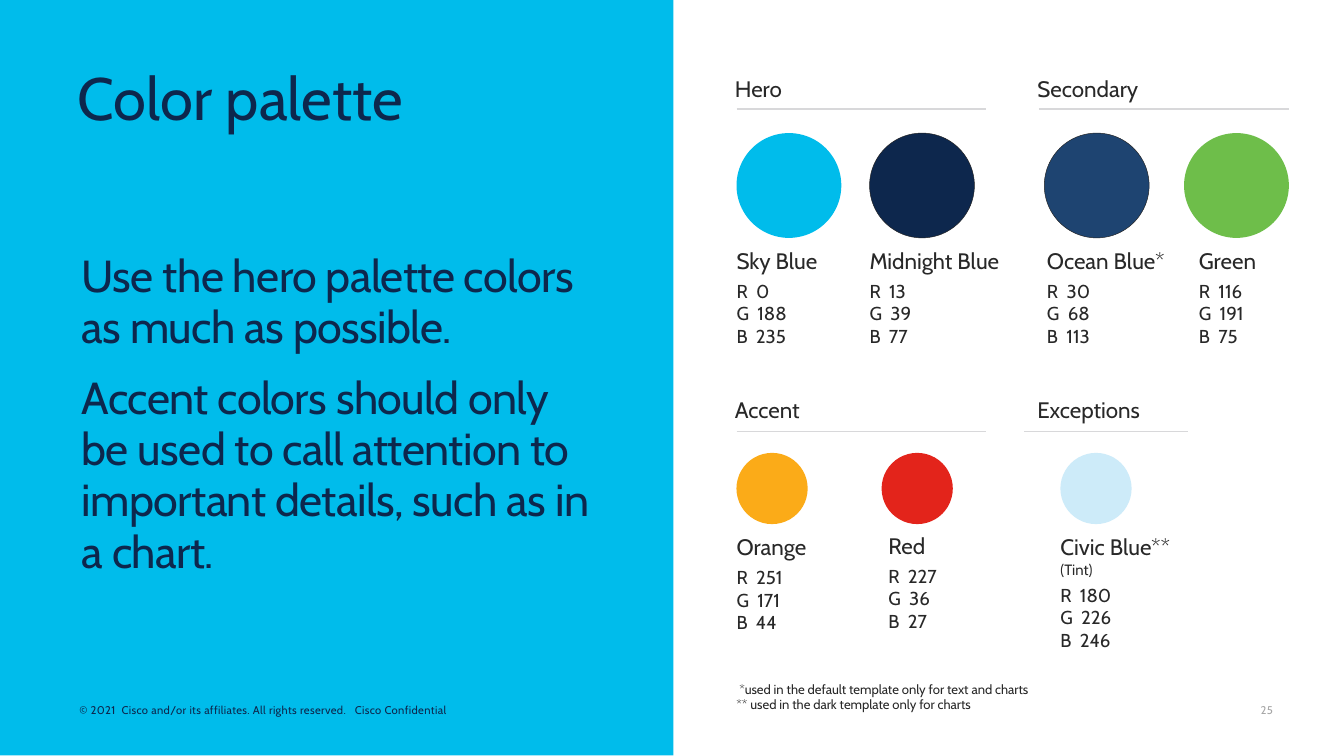
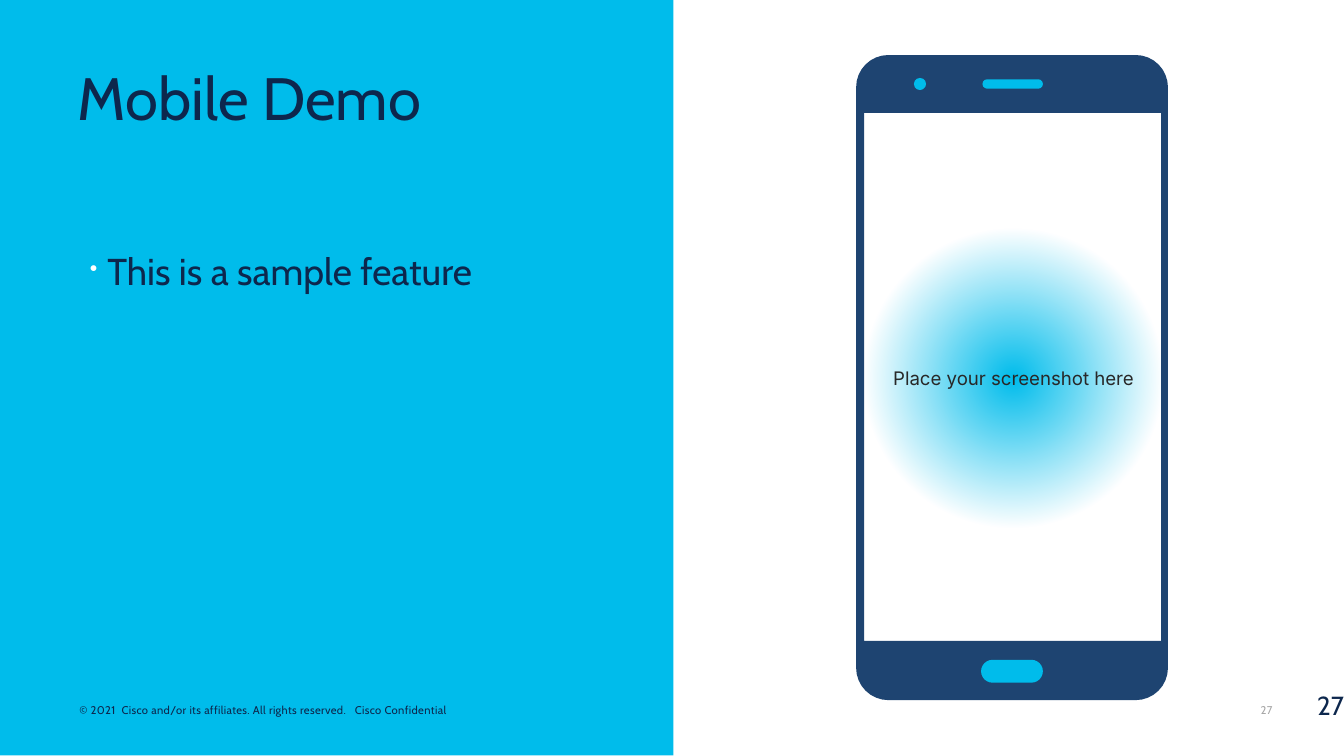
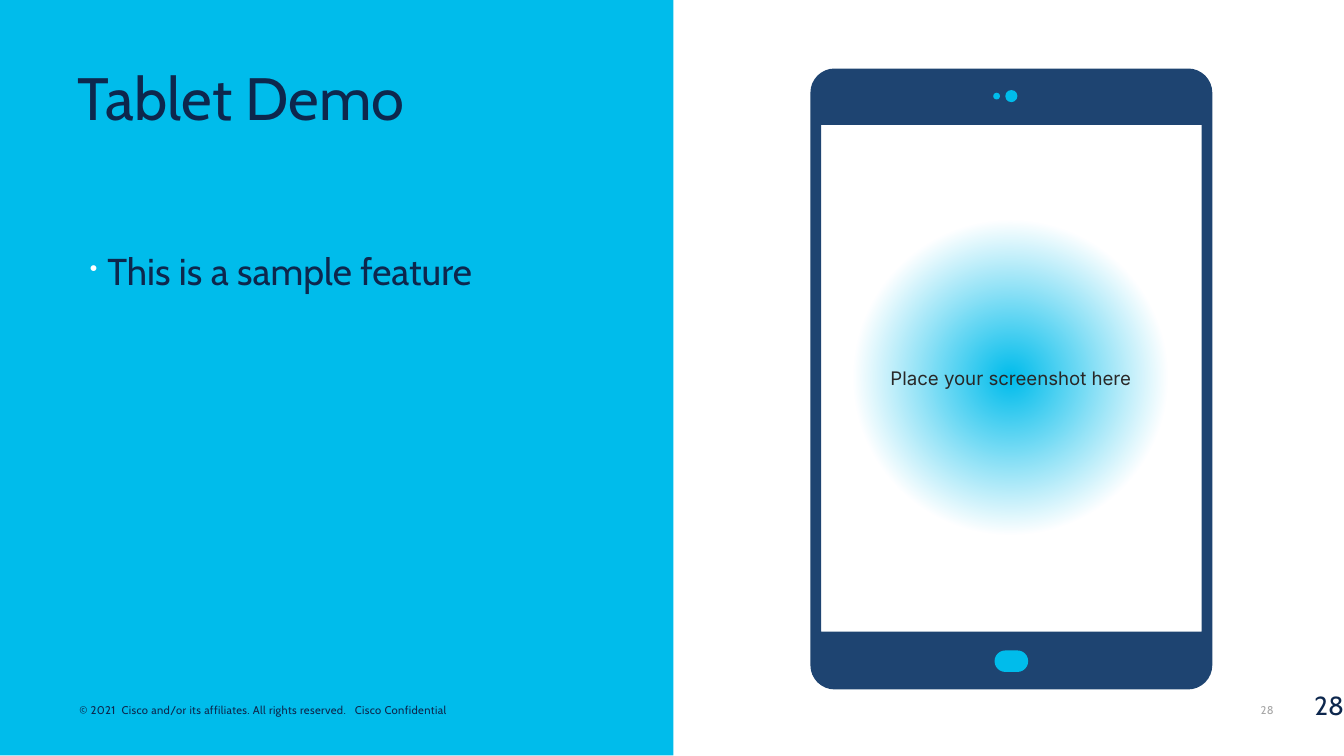
"""Build three slides: a colour palette and two device demos."""
import math
import pptx
import pptx.dml.color
import pptx.enum.shapes
import pptx.enum.text
import pptx.oxml.ns
import pptx.util

Inches = pptx.util.Inches
Pt = pptx.util.Pt
SHAPE = pptx.enum.shapes.MSO_SHAPE
ANCHOR = pptx.enum.text.MSO_ANCHOR
ALIGN = pptx.enum.text.PP_ALIGN

COLORS = {
    "sky": "00BCEB", "midnight": "0D274D", "ocean": "1E4471", "green": "6EBE4A",
    "orange": "FBAB18", "red": "E3241B", "tint": "CDEBF9", "white": "FFFFFF",
    "text": "282828", "rule": "D8D8DA", "edge": "222222", "gray": "A6A6A6",
}
FOOTER = "© 2021  Cisco and/or its affiliates. All rights reserved.   Cisco Confidential"
ADVICE = [
    "Use the hero palette colors as much as possible.",
    "Accent colors should only be used to call attention to important details, "
    "such as in a chart.",
]
FEATURES = ["This is a sample feature"]
NOTES = [
    " *used in the default template only for text and charts",
    "** used in the dark template only for charts",
]
# heading, heading box, rule start, rule end
GROUPS = [
    ("Hero", (5.37, 0.51, 0.57, 0.3), 5.48, 7.34),
    ("Secondary", (7.62, 0.51, 1.07, 0.3), 7.73, 9.59),
    ("Accent", (5.37, 2.9, 0.73, 0.3), 5.48, 7.34),
    ("Exceptions", (7.62, 2.9, 1.03, 0.3), 7.62, 8.84),
]
# name, small suffix, RGB values, colour, outlined, circle (left, top, size), label box
SWATCHES = [
    ("Sky Blue", "", (0, 188, 235), "sky", False, (5.48, 0.99, 0.78), (5.48, 1.79, 0.89, 0.85)),
    ("Midnight Blue", "", (13, 39, 77), "midnight", True, (6.47, 0.99, 0.78), (6.47, 1.79, 1.07, 0.85)),
    ("Ocean Blue*", "", (30, 68, 113), "ocean", True, (7.77, 0.99, 0.78), (7.79, 1.79, 1.02, 0.85)),
    ("Green", "", (116, 191, 75), "green", False, (8.81, 0.99, 0.78), (8.92, 1.79, 0.78, 0.85)),
    ("Orange", "", (251, 171, 44), "orange", False, (5.48, 3.37, 0.53), (5.48, 3.92, 0.78, 0.85)),
    ("Red", "", (227, 36, 27), "red", False, (6.56, 3.37, 0.53), (6.61, 3.91, 0.79, 0.85)),
    ("Civic Blue** ", "(Tint)", (180, 226, 246), "tint", False, (7.89, 3.37, 0.53), (7.89, 3.92, 1.03, 0.98)),
]
DEVICES = [
    {
        "title": "Mobile Demo", "page": 27, "screen": (6.44, 0.86, 2.2, 3.91),
        "shell": (6.37, 0.41, 2.32, 4.8), "hole": (6.43, 0.84, 2.21, 3.93), "radius": 0.24,
        "parts": [("pill", (7.3, 4.91, 0.46, 0.17)), ("dot", (6.8, 0.58, 0.09, 0.09)),
                  ("pill", (7.31, 0.59, 0.45, 0.07))],
    },
    {
        "title": "Tablet Demo", "page": 28, "screen": (6.1, 0.93, 2.84, 3.76),
        "shell": (6.03, 0.51, 2.99, 4.62), "hole": (6.11, 0.93, 2.83, 3.77), "radius": 0.18,
        "parts": [("pill", (7.4, 4.84, 0.25, 0.16)), ("dot", (7.39, 0.69, 0.05, 0.05)),
                  ("dot", (7.48, 0.67, 0.09, 0.09))],
    },
]


def rgb(name):
    return pptx.dml.color.RGBColor.from_string(COLORS[name])


def inch(nums):
    return [Inches(num) for num in nums]


def add(parent, tag, **attrs):
    node = parent.makeelement(pptx.oxml.ns.qn(tag), attrs)
    parent.append(node)
    return node


def style(run, size, color, face="Cabin", spc=0):
    run.font.size = Pt(size)
    run.font.name = face
    run.font.color.rgb = rgb(color)
    if spc:
        run.font._element.set("spc", str(spc))


def frame(shape, inset, anchor, wrap=True):
    body = shape.text_frame
    body.word_wrap = wrap
    body.vertical_anchor = anchor
    body.margin_left = body.margin_right = Inches(inset[0])
    body.margin_top = body.margin_bottom = Inches(inset[1])
    return body


def write(slide, box, lines, size, color="text", inset=(0.1, 0.05),
          anchor=ANCHOR.TOP, wrap=True, spc=0):
    body = frame(slide.shapes.add_textbox(*inch(box)), inset, anchor, wrap)
    body.text = "\n".join(lines)
    for para in body.paragraphs:
        for run in para.runs:
            style(run, size, color, spc=spc)
    return body


def paint(shape, color):
    shape.shadow.inherit = False
    shape.fill.solid()
    shape.fill.fore_color.rgb = rgb(color)
    shape.line.fill.background()


def draw(slide, kind, box, color):
    shape = slide.shapes.add_shape(kind, *inch(box))
    paint(shape, color)
    return shape


def base(deck, title, page, lines, size, bullet=False):
    slide = deck.slides.add_slide(deck.slide_layouts[6])
    draw(slide, SHAPE.RECTANGLE, (0, 0, 5.01, 5.62), "sky")
    small = {"inset": (0.07, 0.03), "anchor": ANCHOR.BOTTOM, "spc": 20}
    write(slide, (9.31, 5.19, 0.24, 0.17), [str(page)], 6, "gray", wrap=False, **small)
    write(slide, (0.52, 5.19, 3.9, 0.17), [FOOTER], 6, "midnight", **small)
    head = write(slide, (0.48, 0.37, 4.03, 0.8), [title], 32, "midnight", anchor=ANCHOR.MIDDLE)
    head.paragraphs[0].line_spacing = 0.8
    body = write(slide, (0.51, 1.82, 4, 3.2), lines, size, "midnight", spc=0 if bullet else -30)
    for num, para in enumerate(body.paragraphs):
        para.line_spacing = 0.95
        if num:
            para.space_before = Pt(11.1)
        if bullet:
            props = para._p.get_or_add_pPr()
            props.set("marL", str(Inches(0.19)))
            props.set("indent", str(Inches(-0.13)))
            add(add(props, "a:buClr"), "a:srgbClr", val=COLORS["white"])
            add(props, "a:buSzPct", val="60000")
            add(props, "a:buChar", char="•")
    return slide


def rule(slide, left, right, top):
    line = slide.shapes.add_connector(
        pptx.enum.shapes.MSO_CONNECTOR.STRAIGHT, *inch((left, top, right, top)))
    line.line.color.rgb = rgb("rule")
    line.line.width = Pt(0.75)
    add(line._element.spPr, "a:effectLst")


def swatch(slide, name, suffix, values, color, edged, spot, box):
    left, top, size = spot
    disc = draw(slide, SHAPE.OVAL, (left, top, size, size), color)
    if edged:
        disc.line.color.rgb = rgb("edge")
        disc.line.width = Pt(0.25)
    lines = [f"{key}  {val}" for key, val in zip("RGB", values)]
    body = write(slide, box, [name] + lines, 10, inset=(0, 0.05))
    first, second = body.paragraphs[:2]
    first.runs[0].font.size = Pt(12)
    second.space_before = Pt(3)
    if suffix:
        run = first.add_run()
        run.text = suffix
        style(run, 8, "text")


def palette(deck):
    slide = base(deck, "Color palette", 25, ADVICE, 24)
    for name, box, left, right in GROUPS:
        write(slide, box, [name], 12, wrap=False)
        rule(slide, left, right, round(box[1] + 0.305, 2))
    for item in SWATCHES:
        swatch(slide, *item)
    write(slide, (5.48, 5.02, 4.47, 0.34), NOTES, 7, inset=(0, 0.05))


def curve(box, rad, steps=8):
    left, top, wide, high = box
    hubs = [(left + wide - rad, top + high - rad), (left + rad, top + high - rad),
            (left + rad, top + rad), (left + wide - rad, top + rad)]
    dots = []
    for turn, (mid, row) in enumerate(hubs):
        for step in range(steps + 1):
            ang = math.pi / 2 * (turn + step / steps)
            dots.append(inch((mid + rad * math.cos(ang), row + rad * math.sin(ang))))
    return dots


def shell(slide, box, rad, hole):
    left, top, wide, high = hole
    outer = curve(box, rad)
    inner = [inch(dot) for dot in ((left, top), (left, top + high),
                                   (left + wide, top + high), (left + wide, top))]
    pen = slide.shapes.build_freeform(*outer[0])
    pen.add_line_segments(outer[1:])
    pen.move_to(*inner[0])
    pen.add_line_segments(inner[1:])
    paint(pen.convert_to_shape(), "ocean")


def screen(slide, box):
    shape = draw(slide, SHAPE.RECTANGLE, box, "white")
    shape.fill.gradient()
    for stop, color, place in zip(shape.fill.gradient_stops, ("sky", "white"), (0, 0.5)):
        stop.color.rgb = rgb(color)
        stop.position = place
    grad = shape._element.spPr.find(pptx.oxml.ns.qn("a:gradFill"))
    grad.remove(grad.find(pptx.oxml.ns.qn("a:lin")))
    sides = dict.fromkeys("ltrb", "50000")
    add(add(grad, "a:path", path="circle"), "a:fillToRect", **sides)
    body = frame(shape, (0.1, 0.1), ANCHOR.MIDDLE)
    body.text = "Place your screenshot here"
    para = body.paragraphs[0]
    para.alignment = ALIGN.CENTER
    style(para.runs[0], 10, "text", "Inter")


def device(deck, item):
    slide = base(deck, item["title"], item["page"], FEATURES, 20, bullet=True)
    screen(slide, item["screen"])
    mark = write(slide, (9.4, 5.03, 0.6, 0.43), [str(item["page"])], 14, "midnight",
                 inset=(0, 0), anchor=ANCHOR.MIDDLE)
    mark.paragraphs[0].alignment = ALIGN.RIGHT
    shell(slide, item["shell"], item["radius"], item["hole"])
    for kind, box in item["parts"]:
        if kind == "dot":
            draw(slide, SHAPE.OVAL, box, "sky")
        else:
            draw(slide, SHAPE.ROUNDED_RECTANGLE, box, "sky").adjustments[0] = 0.5


def main():
    deck = pptx.Presentation()
    deck.slide_width, deck.slide_height = Inches(10), Inches(5.625)
    palette(deck)
    for item in DEVICES:
        device(deck, item)
    deck.save("out.pptx")


if __name__ == "__main__":
    main()
